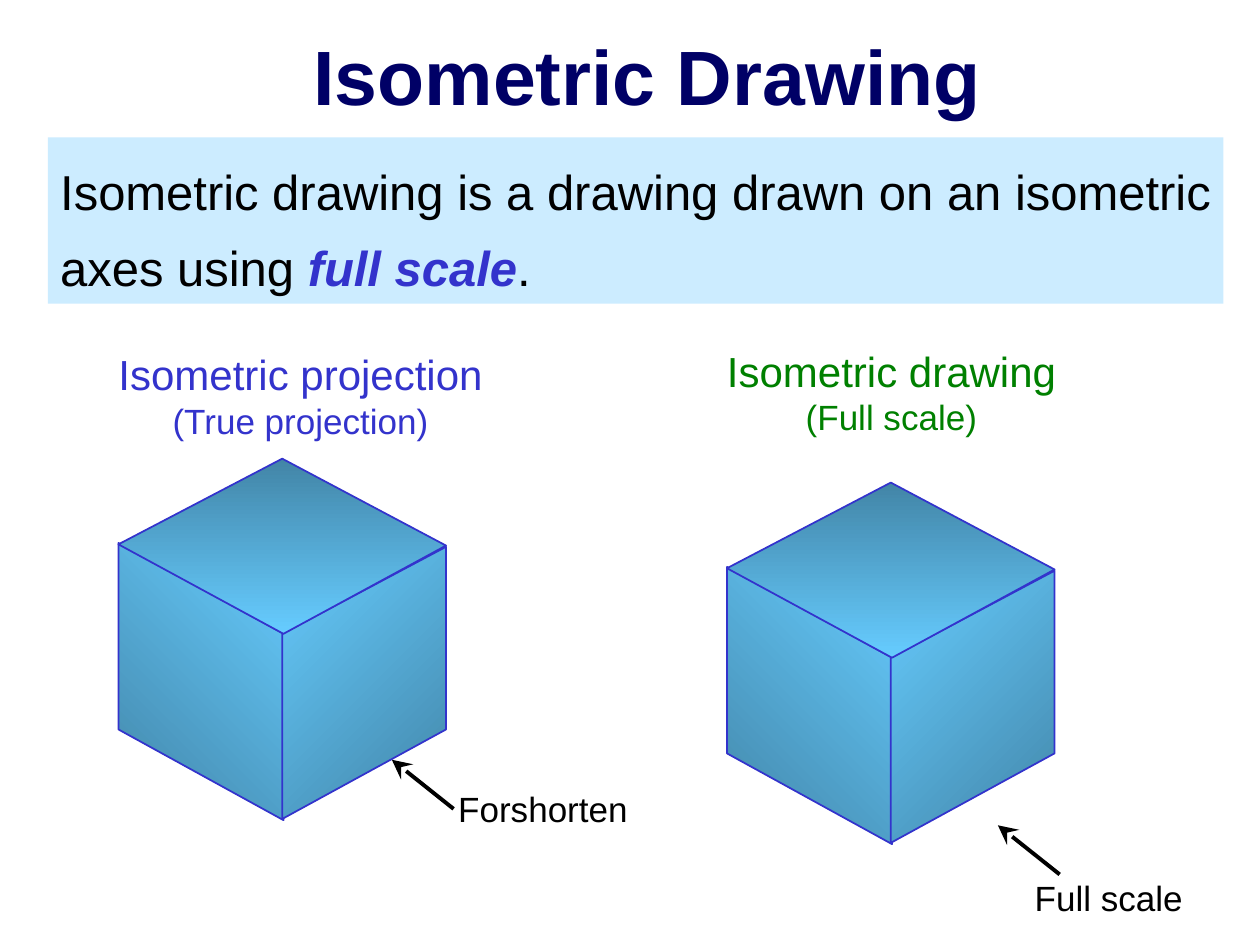
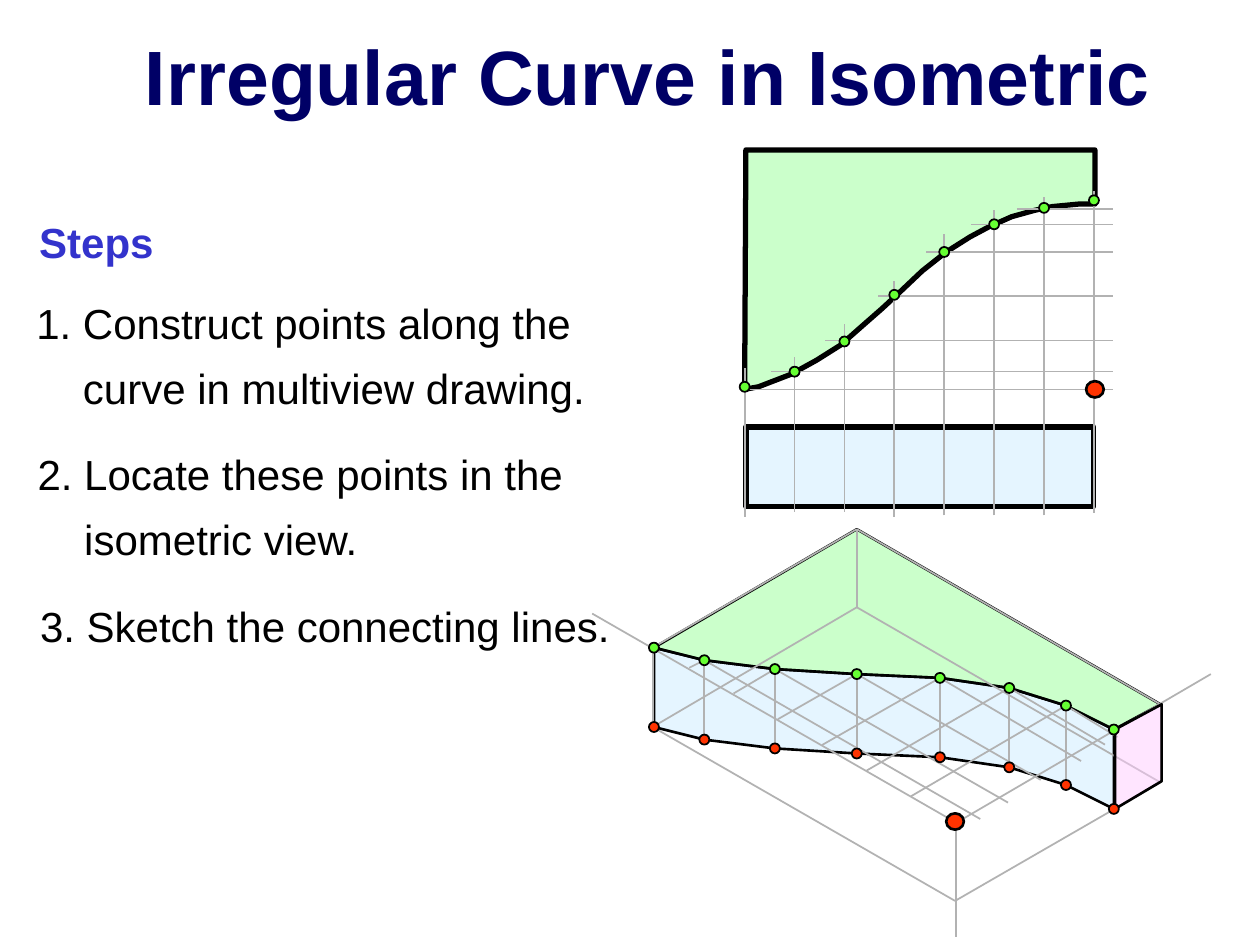
from dataclasses import dataclass
from typing import NamedTuple

from lxml import etree
from pptx import Presentation
from pptx.dml.color import RGBColor
from pptx.enum.shapes import MSO_CONNECTOR, MSO_SHAPE
from pptx.enum.text import MSO_AUTO_SIZE, MSO_ANCHOR, PP_ALIGN
from pptx.oxml.ns import qn
from pptx.util import Emu, Pt

STRAIGHT = MSO_CONNECTOR.STRAIGHT
RECTANGLE, OVAL = MSO_SHAPE.RECTANGLE, MSO_SHAPE.OVAL
FIT_TEXT = MSO_AUTO_SIZE.SHAPE_TO_FIT_TEXT
TOP = MSO_ANCHOR.TOP
LEFT, CENTER = PP_ALIGN.LEFT, PP_ALIGN.CENTER
EMU_PER_PX = 9144


@dataclass(frozen=True)
class Theme:
    font: str = "Arial"
    title: str = "000066"
    ink: str = "000000"
    accent: str = "3333CC"
    drawing: str = "008000"
    pale_blue: str = "CCECFF"
    pale_green: str = "99FF99"
    pale_pink: str = "FFCCFF"
    cube_light: str = "66CCFF"
    cube_dark: str = "4285A7"
    guide: str = "B2B2B2"
    green_point: str = "66FF33"
    red_point: str = "FF3300"
    title_size: int = 44
    definition_size: int = 28
    body_size: int = 24
    note_size: int = 20
    line_spacing: float = 1.3


THEME = Theme()


class Box(NamedTuple):
    left: int
    top: int
    width: int
    height: int

    def at(self, x, y):
        return self.left + x, self.top + y

    def inner(self, x, y, width, height):
        return Box(*self.at(x, y), width, height)


def px(length):
    return Emu(round(length * EMU_PER_PX))


def rgb(color):
    return RGBColor.from_string(color)


def set_outline(shape, color, points):
    shape.line.color.rgb = rgb(color)
    shape.line.width = Pt(points)


def set_fill(shape, color, half_clear=False):
    shape.fill.solid()
    shape.fill.fore_color.rgb = rgb(color)
    if half_clear:
        swatch = shape._element.spPr.find(qn("a:solidFill")).find(qn("a:srgbClr"))
        etree.SubElement(swatch, qn("a:alpha"), val="50000")


def set_font(paragraph, size, color, bold=False):
    font = paragraph.font
    font.name = THEME.font
    font.size = Pt(size)
    font.color.rgb = rgb(color)
    font.bold = bold


def add_text(slide, box, lines, color, align=CENTER, bold=False, wrap=False):
    holder = slide.shapes.add_textbox(*map(px, box))
    frame = holder.text_frame
    frame.word_wrap = wrap
    frame.auto_size = FIT_TEXT
    frame.vertical_anchor = TOP
    for index, (text, size) in enumerate(lines):
        paragraph = frame.add_paragraph() if index else frame.paragraphs[0]
        paragraph.text = text
        paragraph.alignment = align
        set_font(paragraph, size, color, bold)
    return holder


def add_line(slide, start, end, color=THEME.guide, points=1.0, arrow=False):
    line = slide.shapes.add_connector(STRAIGHT, *map(px, (*start, *end)))
    set_outline(line, color, points)
    properties = line._element.spPr
    if arrow:
        etree.SubElement(properties.find(qn("a:ln")), qn("a:tailEnd"),
                         type="stealth", w="lg", len="lg")
    etree.SubElement(properties, qn("a:effectLst"))


def add_outline(slide, box, corners):
    start, *rest = [box.at(*corner) for corner in corners]
    builder = slide.shapes.build_freeform(*start, scale=EMU_PER_PX)
    builder.add_line_segments(rest, close=True)
    outline = builder.convert_to_shape()
    outline.shadow.inherit = False
    return outline


def add_face(slide, box, corners, color, points=1.5):
    face = add_outline(slide, box, corners)
    set_fill(face, color, half_clear=True)
    set_outline(face, THEME.ink, points)


def add_point(slide, center, color, width=8, height=8, points=1.0):
    x, y = center
    point = slide.shapes.add_shape(
        OVAL, px(x - width / 2), px(y - height / 2), px(width), px(height))
    point.shadow.inherit = False
    set_fill(point, color)
    set_outline(point, THEME.ink, points)


def add_corner_point(slide, center):
    add_point(slide, center, THEME.red_point, 14, 13, 1.5)


def add_title(slide, box, text):
    add_text(slide, box, [(text, THEME.title_size)], THEME.title, bold=True)


def add_definition(slide, box):
    text = "Isometric drawing is a drawing drawn on an isometric\vaxes using "
    band = add_text(slide, box, [(text, THEME.definition_size)], THEME.ink, LEFT)
    set_fill(band, THEME.pale_blue)
    definition = band.text_frame.paragraphs[0]
    definition.line_spacing = THEME.line_spacing
    emphasis = definition.add_run()
    emphasis.text = "full scale"
    emphasis.font.bold = emphasis.font.italic = True
    emphasis.font.color.rgb = rgb(THEME.accent)
    definition.add_run().text = "."


def add_cube(slide, box):
    light, dark = THEME.cube_light, THEME.cube_dark
    faces = (
        (((0, 67), (0, 215), (131, 287), (131, 139)), (light, dark), 225),
        (((260, 215), (130, 286), (130, 139), (260, 70)), (dark, light), 135),
        (((131, 139), (0, 68), (130, 0), (260, 69)), (dark, light), 270),
    )
    for corners, shades, angle in faces:
        face = add_outline(slide, box, corners)
        face.fill.gradient()
        face.fill.gradient_angle = angle
        for stop, shade in zip(face.fill.gradient_stops, shades):
            stop.color.rgb = rgb(shade)
        set_outline(face, THEME.accent, 1)


def add_heading(slide, box, name, scale, color):
    add_text(slide, box, [(name, THEME.body_size), (scale, THEME.note_size)], color)


def add_callout(slide, box, label, label_box):
    add_line(slide, box.at(49, 39), box.at(0, 0), THEME.ink, 2.25, arrow=True)
    add_text(slide, box.inner(*label_box), [(label, THEME.note_size)], THEME.ink)


def add_steps(slide, box):
    add_text(slide, box.inner(2, 0, 111, 50), [("Steps", THEME.body_size)],
             THEME.accent, bold=True)
    steps = (
        ("1. Construct points along the\vcurve in multiview drawing.", (0, 52, 465, 114)),
        ("2. Locate these points in the\visometric view.", (1, 172, 455, 114)),
        ("3. Sketch the connecting lines.", (3, 293, 476, 62)),
    )
    for text, place in steps:
        holder = add_text(slide, box.inner(*place), [(text, THEME.body_size)],
                          THEME.ink, LEFT, wrap=True)
        step = holder.text_frame.paragraphs[0]
        step.line_spacing = THEME.line_spacing
        hanging = step._p.get_or_add_pPr()
        hanging.set("marL", str(px(37)))
        hanging.set("indent", str(px(-37)))


def add_multiview(slide, box):
    plan = (
        (1, 0), (278, 0), (278, 43), (265, 43), (244, 45), (230, 48), (212, 53),
        (194, 61), (179, 69), (160, 81), (141, 96), (122, 114), (109, 126),
        (93, 140), (76, 155), (57, 167), (37, 178), (11, 188), (0, 190),
    )
    add_face(slide, box, plan, THEME.pale_green, 3)
    elevation = slide.shapes.add_shape(RECTANGLE, *map(px, box.inner(1, 220, 276, 63)))
    elevation.shadow.inherit = False
    set_fill(elevation, THEME.pale_blue, half_clear=True)
    set_outline(elevation, THEME.ink, 3)

    stations = [39.6 * index for index in range(8)]
    vertical_ends = ((173, 291), (164, 287), (138, 287), (104, 291),
                     (67, 290), (48, 290), (37, 290), (33, 288))
    for x, (upper, lower) in zip(stations, vertical_ends):
        add_line(slide, box.at(x, lower), box.at(x, upper))
    levels = ((0, 190), (21, 176), (64, 151), (106, 116), (144, 81), (180, 59), (216, 47))
    for x, y in levels:
        add_line(slide, box.at(x, y), box.at(292, y), points=0.75)
    for x, y in zip(stations, (188, 176, 152, 115, 81, 59, 46, 40)):
        add_point(slide, box.at(x, y), THEME.green_point)
    add_corner_point(slide, box.at(278, 190))


def add_isometric(slide, box):
    depth = 63
    curve = ((49, 94), (89, 104), (145, 111), (210, 115),
             (276, 118), (331, 126), (376, 140), (414, 159))
    lower_curve = [(x, y + depth) for x, y in curve]
    back, left, right = (210, 0), (48, 94), (451, 139)
    floor_back, floor_left, floor_right = (210, 62), (48, 157), (451, 201)
    floor_front, origin = (288, 295), (289, 233)

    add_face(slide, box, [*lower_curve, *reversed(curve)], THEME.pale_blue)
    add_face(slide, box, [*curve, right, back], THEME.pale_green)
    guides = [
        (floor_left, floor_back), (floor_back, floor_right), (floor_back, back),
        (left, back), (back, right), (floor_left, left), (floor_left, floor_front),
        (floor_right, right), (floor_front, floor_right),
        (origin, (0, 67)), (origin, (289, 324)), (origin, (491, 115)),
    ]
    receding_ends = ((308, 230), (330, 217), (356, 199),
                     (388, 184), (407, 171), (417, 165))
    inner_points = zip(curve[1:-1], lower_curve[1:-1], receding_ends)
    for index, (upper, lower, receding_end) in enumerate(inner_points):
        axis_point = (77 + 35.2 * index, 110 + 20.4 * index)
        guides += [(upper, axis_point), (lower, upper), (upper, receding_end)]
    for start, end in guides:
        add_line(slide, box.at(*start), box.at(*end))

    side = ((415, 159), (415, 222), (452, 200), (452, 139))
    add_face(slide, box, side, THEME.pale_pink)
    add_corner_point(slide, box.at(288, 232))
    for points, color in ((curve, THEME.green_point), (lower_curve, THEME.red_point)):
        for point in points:
            add_point(slide, box.at(*point), color)


def build_drawing_slide(slide):
    add_title(slide, Box(239, 18, 550, 84), "Isometric Drawing")
    add_definition(slide, Box(38, 109, 933, 132))
    add_cube(slide, Box(94, 364, 260, 287))
    add_heading(slide, Box(84, 272, 309, 84), "Isometric projection",
                "(True projection)", THEME.accent)
    add_callout(slide, Box(311, 603, 200, 61), "Forshorten", (40, 17, 160, 44))
    add_cube(slide, Box(577, 383, 260, 287))
    add_heading(slide, Box(567, 269, 281, 84), "Isometric drawing",
                "(Full scale)", THEME.drawing)
    add_callout(slide, Box(792, 655, 160, 80), "Full scale", (16, 36, 144, 44))


def build_curve_slide(slide):
    add_title(slide, Box(105, 18, 819, 84), "Irregular Curve in Isometric")
    add_multiview(slide, Box(591, 119, 292, 291))
    add_steps(slide, Box(19, 167, 479, 355))
    add_isometric(slide, Box(470, 420, 491, 324))


def main():
    presentation = Presentation()
    presentation.slide_width, presentation.slide_height = px(1000), px(750)
    blank = presentation.slide_layouts[6]
    for build in (build_drawing_slide, build_curve_slide):
        build(presentation.slides.add_slide(blank))
    presentation.save("out.pptx")


if __name__ == "__main__":
    main()
